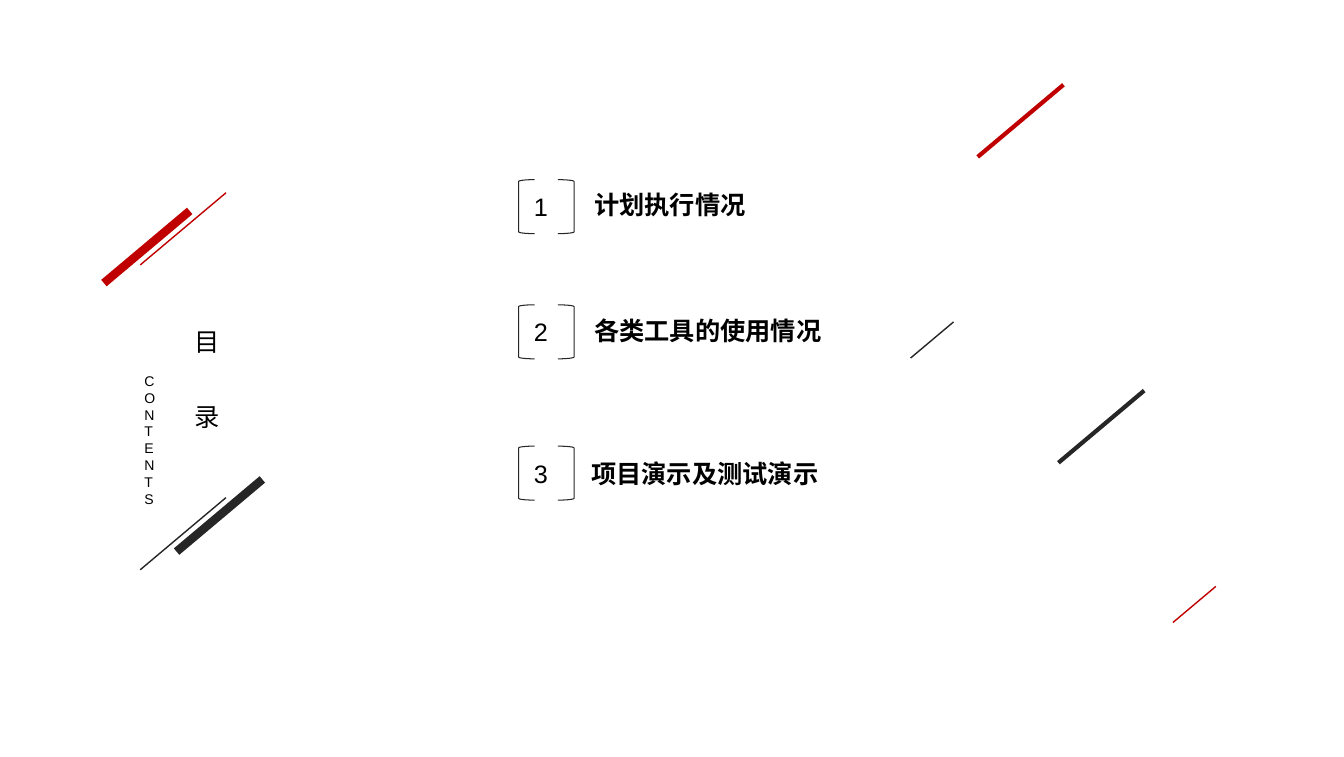
from lxml import etree
from pptx import Presentation
from pptx.dml.color import RGBColor
from pptx.enum.shapes import MSO_CONNECTOR, MSO_SHAPE
from pptx.enum.text import MSO_AUTO_SIZE
from pptx.oxml.ns import qn
from pptx.util import Inches, Pt

COLORS = {"red": "C00000", "dark": "262626", "text": "000000"}
LATIN, CHINESE = "Arial", "Noto Sans CJK SC"

# Upper right end (x, y), scale, colour, width in points
STROKES = [
    (1.88, 2.09, 1, "red", 6),
    (2.24, 1.91, 1, "red", 1),
    (2.60, 4.75, 1, "dark", 6),
    (2.24, 4.93, 1, "dark", 1),
    (10.54, 0.84, 1, "red", 3),
    (9.45, 3.19, 0.5, "dark", 1),
    (12.05, 5.81, 0.5, "red", 1),
    (11.34, 3.87, 1, "dark", 3),
]
STROKE_RUN, STROKE_DROP = 0.85, 0.715

# Bracket top, number top, heading left, top and width, heading
ITEMS = [
    (1.78, 1.85, 5.84, 1.83, 1.62, "计划执行情况"),
    (3.02, 3.08, 5.84, 3.07, 2.37, "各类工具的使用情况"),
    (4.42, 4.49, 5.81, 4.49, 2.37, "项目演示及测试演示"),
]
BRACKETS = [(MSO_SHAPE.LEFT_BRACKET, 5.14), (MSO_SHAPE.RIGHT_BRACKET, 5.53)]
BRACKET_WIDTH, BRACKET_HEIGHT = 0.16, 0.535
NUMBER_LEFT = 5.24


def color(name):
    return RGBColor.from_string(COLORS[name])


def add_stroke(slide, right, top, scale, color_name, width):
    left, bottom = right - STROKE_RUN * scale, top + STROKE_DROP * scale
    stroke = slide.shapes.add_connector(
        MSO_CONNECTOR.STRAIGHT,
        Inches(right), Inches(top), Inches(left), Inches(bottom))
    stroke.line.color.rgb = color(color_name)
    stroke.line.width = Pt(width)
    etree.SubElement(stroke._element.spPr, qn("a:effectLst"))


def add_bracket(slide, kind, left, top):
    bracket = slide.shapes.add_shape(
        kind, Inches(left), Inches(top),
        Inches(BRACKET_WIDTH), Inches(BRACKET_HEIGHT))
    bracket.adjustments[0] = 0.11
    bracket.shadow.inherit = False
    bracket.fill.background()
    bracket.line.color.rgb = color("dark")
    bracket.line.width = Pt(0.75)


def add_text(slide, area, lines, font, size=18, bold=False, wrap=False,
             spacing=None):
    box = slide.shapes.add_textbox(*map(Inches, area))
    frame = box.text_frame
    frame.word_wrap = wrap
    frame.auto_size = MSO_AUTO_SIZE.SHAPE_TO_FIT_TEXT
    frame.margin_left = frame.margin_right = Inches(0.05)
    frame.margin_top = frame.margin_bottom = Inches(0.05)
    for index, line in enumerate(lines):
        para = frame.add_paragraph() if index else frame.paragraphs[0]
        para.line_spacing = spacing
        span = para.add_run()
        span.text = line
        span.font.name = font
        span.font.size = Pt(size)
        span.font.bold = bold
        span.font.color.rgb = color("text")
        east_asian = etree.SubElement(span._r.get_or_add_rPr(), qn("a:ea"))
        east_asian.set("typeface", font)


def main():
    deck = Presentation()
    deck.slide_width, deck.slide_height = Inches(13.32), Inches(7.5)
    slide = deck.slides.add_slide(deck.slide_layouts[6])

    for stroke in STROKES:
        add_stroke(slide, *stroke)

    add_text(slide, (1.88, 2.73, 0.43, 1.32), ["目", "录"], CHINESE,
             spacing=Pt(54))
    add_text(slide, (1.38, 3.64, 0.25, 1.32), ["CONTENTS"], LATIN, size=10,
             wrap=True)

    for number, item in enumerate(ITEMS, start=1):
        bracket_top, number_top, left, top, width, heading = item
        add_text(slide, (NUMBER_LEFT, number_top, 0.25, 0.4), [str(number)],
                 LATIN)
        for kind, bracket_left in BRACKETS:
            add_bracket(slide, kind, bracket_left, bracket_top)
        add_text(slide, (left, top, width, 0.4), [heading], CHINESE, bold=True)

    deck.save("out.pptx")


if __name__ == "__main__":
    main()
